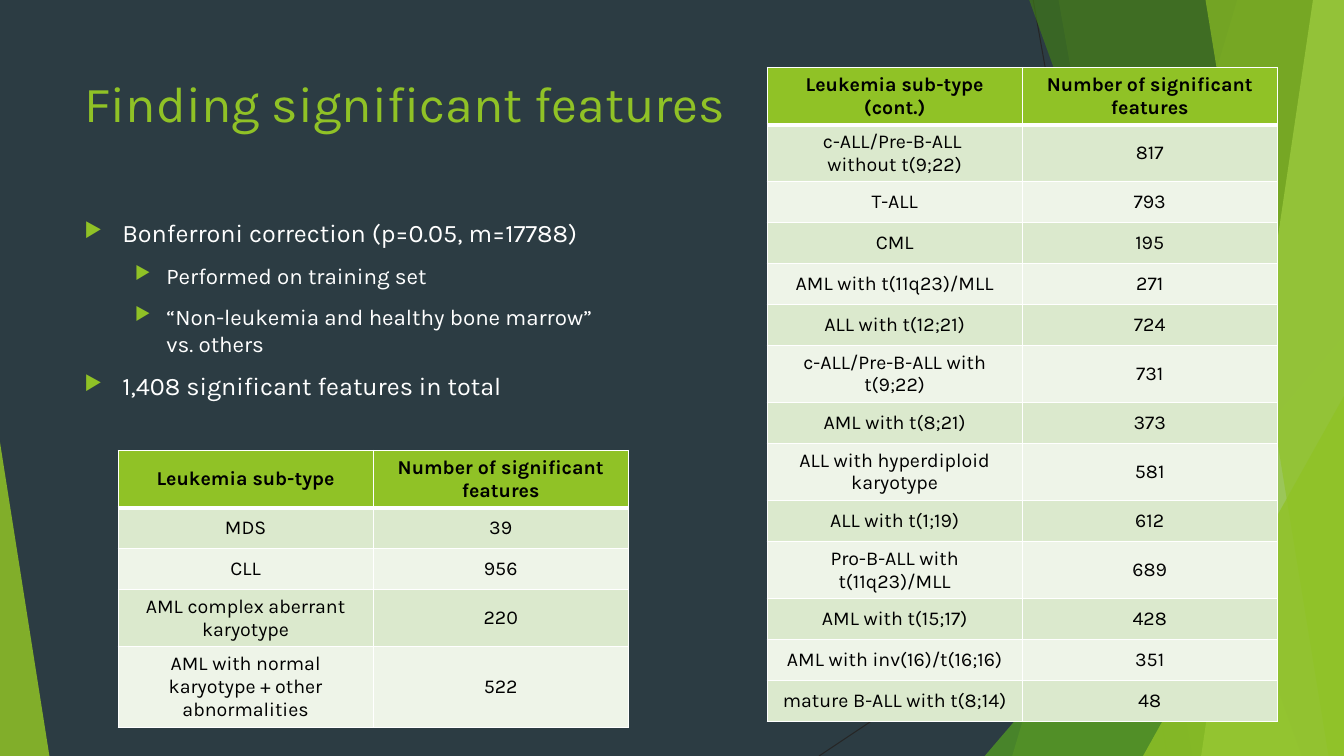
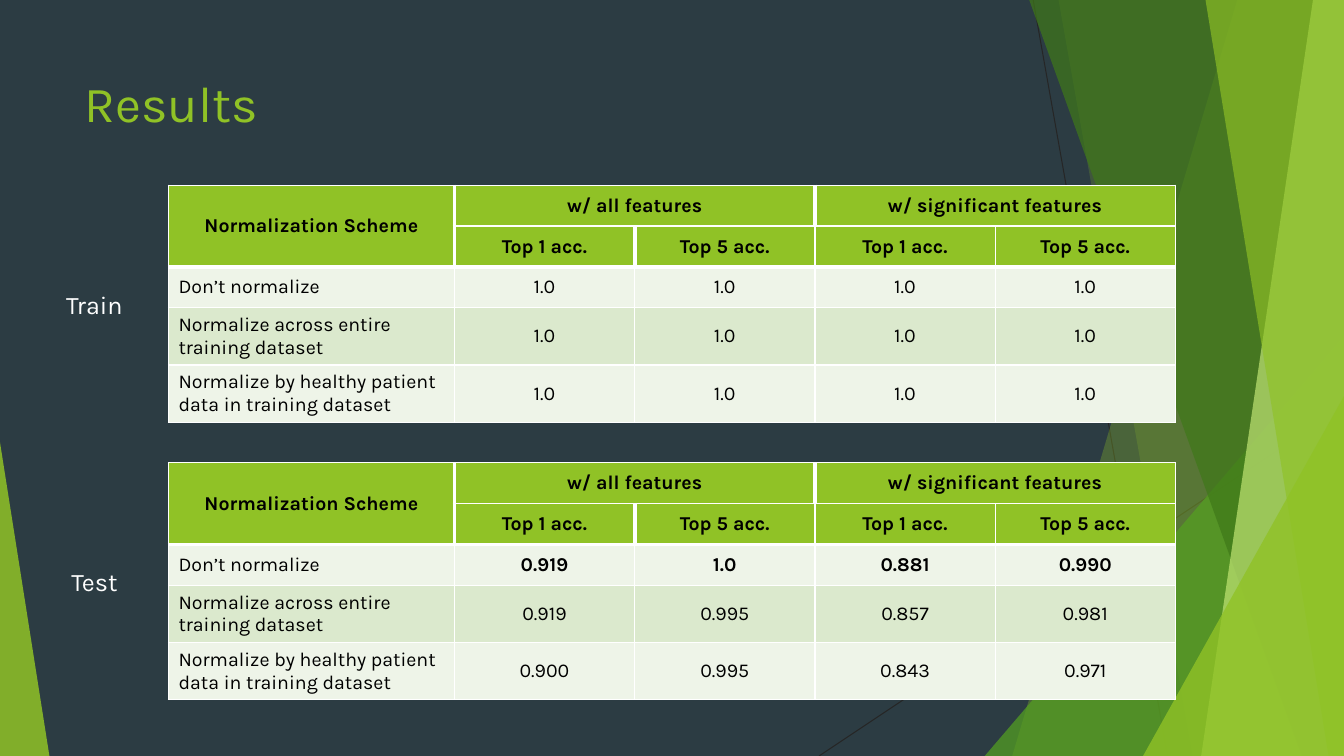
import pptx
import pptx.dml.color
import pptx.enum.shapes
import pptx.enum.text
import pptx.oxml
import pptx.oxml.ns
import pptx.util

Pt = pptx.util.Pt
ALIGN = pptx.enum.text.PP_ALIGN
ANCHOR = pptx.enum.text.MSO_ANCHOR
FIT = pptx.enum.text.MSO_AUTO_SIZE
NS = pptx.oxml.ns.nsdecls("a")
WIDTH, HEIGHT, TOP = 960, 540, -0.6
COLORS = {
    "night": "2C3C43", "lime": "90C226", "leaf": "54A021", "forest": "3F7819",
    "pale": "C0E474", "wire": "262626", "white": "FFFFFF", "black": "000000",
    "tint": "DBE9CD", "mist": "EEF4E8",
}
LABEL = {"size": Pt(18), "color": "white"}
BULLETS = {0: (27, -27, 18), 1: (58.5, -22.5, 16)}
ROW_HEIGHT = 29.2


def rgb(name):
    return pptx.dml.color.RGBColor.from_string(COLORS[name])


class Deck:
    """Hold the shared style and the slide being filled."""

    def __init__(self):
        self.show = pptx.Presentation()
        self.show.slide_width, self.show.slide_height = Pt(WIDTH), Pt(HEIGHT)

    def start(self, title):
        self.slide = self.show.slides.add_slide(self.show.slide_layouts[6])
        backdrop = self.slide.background.fill
        backdrop.solid()
        backdrop.fore_color.rgb = rgb("night")
        self.wire(738, 0, 834, HEIGHT)
        self.wire(WIDTH, 290, 585, HEIGHT)
        self.strip(884, 723, "lime", 30)
        self.strip(756, 852, "lime", 20)
        self.wedge((703.4, 240, 256.6, 300), 1, "leaf", 72)
        self.strip(735, 930, "forest", 70)
        self.strip(938, 858, "pale", 70)
        self.strip(861, 949, "lime", 65)
        self.wedge((816.5, 283, 143.5, 257), 1, "lime", 80)
        self.wedge((0, 316, 35.3, 224), 0, "lime", 85)
        self.text((53.3, 48, 677, 104), title, size=Pt(36), color="lime")

    def wire(self, *ends):
        line = self.slide.shapes.add_connector(
            pptx.enum.shapes.MSO_CONNECTOR.STRAIGHT, *map(Pt, ends))
        line.line.color.rgb = rgb("wire")
        line.line.width = Pt(0.75)
        line._element.spPr.append(pptx.oxml.parse_xml(f"<a:effectLst {NS}/>"))

    def strip(self, top_x, bottom_x, color, opacity):
        outline = self.slide.shapes.build_freeform(Pt(top_x), Pt(TOP))
        corners = [(WIDTH, TOP), (WIDTH, HEIGHT), (bottom_x, HEIGHT)]
        outline.add_line_segments([(Pt(x), Pt(y)) for x, y in corners])
        self.paint(outline.convert_to_shape(), color, opacity)

    def wedge(self, box, apex, color, opacity):
        triangle = self.slide.shapes.add_shape(
            pptx.enum.shapes.MSO_SHAPE.ISOSCELES_TRIANGLE, *map(Pt, box))
        triangle.adjustments[0] = apex
        self.paint(triangle, color, opacity)

    def paint(self, shape, color, opacity):
        shape.shadow.inherit = False
        shape.line.fill.background()
        shape.fill.solid()
        shape.fill.fore_color.rgb = rgb(color)
        tone = shape._element.spPr.find(pptx.oxml.ns.qn("a:solidFill"))[0]
        tone.append(pptx.oxml.parse_xml(
            f'<a:alpha {NS} val="{opacity * 1000}"/>'))

    def style(self, paragraph, align=ALIGN.LEFT, color="black", **look):
        paragraph.alignment = align
        for run in paragraph.runs:
            run.font.color.rgb = rgb(color)
            for key, value in {"name": "Karla", **look}.items():
                setattr(run.font, key, value)

    def frame(self, box, **settings):
        frame = self.slide.shapes.add_textbox(*map(Pt, box)).text_frame
        for key, value in {"word_wrap": True, **settings}.items():
            setattr(frame, key, value)
        return frame

    def text(self, box, words, **look):
        frame = self.frame(box)
        frame.text = words
        self.style(frame.paragraphs[0], **look)

    def label(self, box, words):
        frame = self.frame(box, word_wrap=False, auto_size=FIT.SHAPE_TO_FIT_TEXT)
        frame.text = words
        self.style(frame.paragraphs[0], ALIGN.CENTER, **LABEL)

    def bullets(self, box, points):
        frame = self.frame(box)
        frame.text = "\n" * (len(points) - 1)
        for paragraph, (level, words) in zip(frame.paragraphs, points):
            margin, indent, size = BULLETS[level]
            paragraph.text = words
            paragraph.level = level
            paragraph.space_before = Pt(10)
            self.style(paragraph, color="white", size=Pt(size))
            props = paragraph._p.get_or_add_pPr()
            props.set("marL", str(Pt(margin)))
            props.set("indent", str(Pt(indent)))
            for mark in (
                f'<a:buClr {NS}><a:srgbClr val="{COLORS["lime"]}"/></a:buClr>',
                f'<a:buSzPct {NS} val="80000"/>',
                f'<a:buChar {NS} char="\u25b6"/>',
            ):
                props.append(pptx.oxml.parse_xml(mark))

    def table(self, left, top, widths, rows, headers=1, merges=(),
              heavy=(), bold_rows=(), first_align=ALIGN.CENTER):
        grid = self.slide.shapes.add_table(
            len(rows), len(widths), Pt(left), Pt(top),
            Pt(sum(widths)), Pt(ROW_HEIGHT * len(rows))).table
        grid.horz_banding = False
        for column, width in zip(grid.columns, widths):
            column.width = Pt(width)
        for row in grid.rows:
            row.height = Pt(ROW_HEIGHT)
        for first, last in merges:
            grid.cell(*first).merge(grid.cell(*last))
        for r, row in enumerate(rows):
            for c, words in enumerate(row):
                cell = grid.cell(r, c)
                header = r < headers
                cell.vertical_anchor = ANCHOR.MIDDLE
                cell.fill.solid()
                cell.fill.fore_color.rgb = rgb(
                    "lime" if header else ("mist", "tint")[r % 2])
                cell.text = words
                align = first_align if c == 0 and not header else ALIGN.CENTER
                for paragraph in cell.text_frame.paragraphs:
                    self.style(paragraph, align, size=Pt(14),
                               bold=header or (r in bold_rows and c > 0))
                depth = cell.span_height if cell.is_merge_origin else 1
                self.borders(cell, {
                    "L": (r, c - 1) in heavy, "R": (r, c) in heavy,
                    "T": r == headers, "B": r + depth == headers})

    def borders(self, cell, sides):
        props = cell._tc.get_or_add_tcPr()
        for place, (side, thick) in enumerate(sides.items()):
            props.insert(place, pptx.oxml.parse_xml(
                f'<a:ln{side} {NS} w="{Pt(3 if thick else 1)}"><a:solidFill>'
                f'<a:srgbClr val="{COLORS["white"]}"/></a:solidFill></a:ln{side}>'))


deck = Deck()

deck.start("Finding significant features")
deck.bullets((53.3, 152, 427, 305), [
    (0, "Bonferroni correction (p=0.05, m=17788)"),
    (1, "Performed on training set"),
    (1, "“Non-leukemia and healthy bone marrow” \vvs. others"),
    (0, "1,408 significant features in total"),
])
COUNT = "Number of significant features"
deck.table(84.4, 321.8, [182.2] * 2, [
    ("Leukemia sub-type", COUNT),
    ("MDS", "39"),
    ("CLL", "956"),
    ("AML complex aberrant karyotype", "220"),
    ("AML with normal karyotype + other abnormalities", "522"),
])
deck.table(548, 48.2, [182.2] * 2, [
    ("Leukemia sub-type\n(cont.)", COUNT),
    ("c-ALL/Pre-B-ALL \nwithout t(9;22)", "817"),
    ("T-ALL", "793"),
    ("CML", "195"),
    ("AML with t(11q23)/MLL", "271"),
    ("ALL with t(12;21)", "724"),
    ("c-ALL/Pre-B-ALL with t(9;22)", "731"),
    ("AML with t(8;21)", "373"),
    ("ALL with hyperdiploid karyotype", "581"),
    ("ALL with t(1;19)", "612"),
    ("Pro-B-ALL with t(11q23)/MLL", "689"),
    ("AML with t(15;17)", "428"),
    ("AML with inv(16)/t(16;16)", "351"),
    ("mature B-ALL with t(8;14)", "48"),
])

deck.start("Results")
SCHEMES = ("Don’t normalize", "Normalize across entire training dataset",
           "Normalize by healthy patient data in training dataset")
TEST = [("0.919", "1.0", "0.881", "0.990"),
        ("0.919", "0.995", "0.857", "0.981"),
        ("0.900", "0.995", "0.843", "0.971")]
for phase, top, accuracies, bold_rows in (
    ("Train", 132.3, [("1.0",) * 4] * 3, ()),
    ("Test", 330.5, TEST, (2,)),
):
    deck.table(
        120.3, top, [204.3] + [128.75] * 4,
        [("Normalization Scheme", "w/ all features", "", "w/ significant features", ""),
         ("",) + ("Top 1 acc.", "Top 5 acc.") * 2]
        + [(scheme, *scores) for scheme, scores in zip(SCHEMES, accuracies)],
        headers=2, bold_rows=bold_rows, first_align=ALIGN.LEFT,
        merges=[((0, 0), (1, 0)), ((0, 1), (0, 2)), ((0, 3), (0, 4))],
        heavy={(0, 0), (1, 0), (0, 1), (0, 2), (1, 1)})
    deck.label((40, top + 70.7, 55, 29), phase)

deck.show.save("out.pptx")
